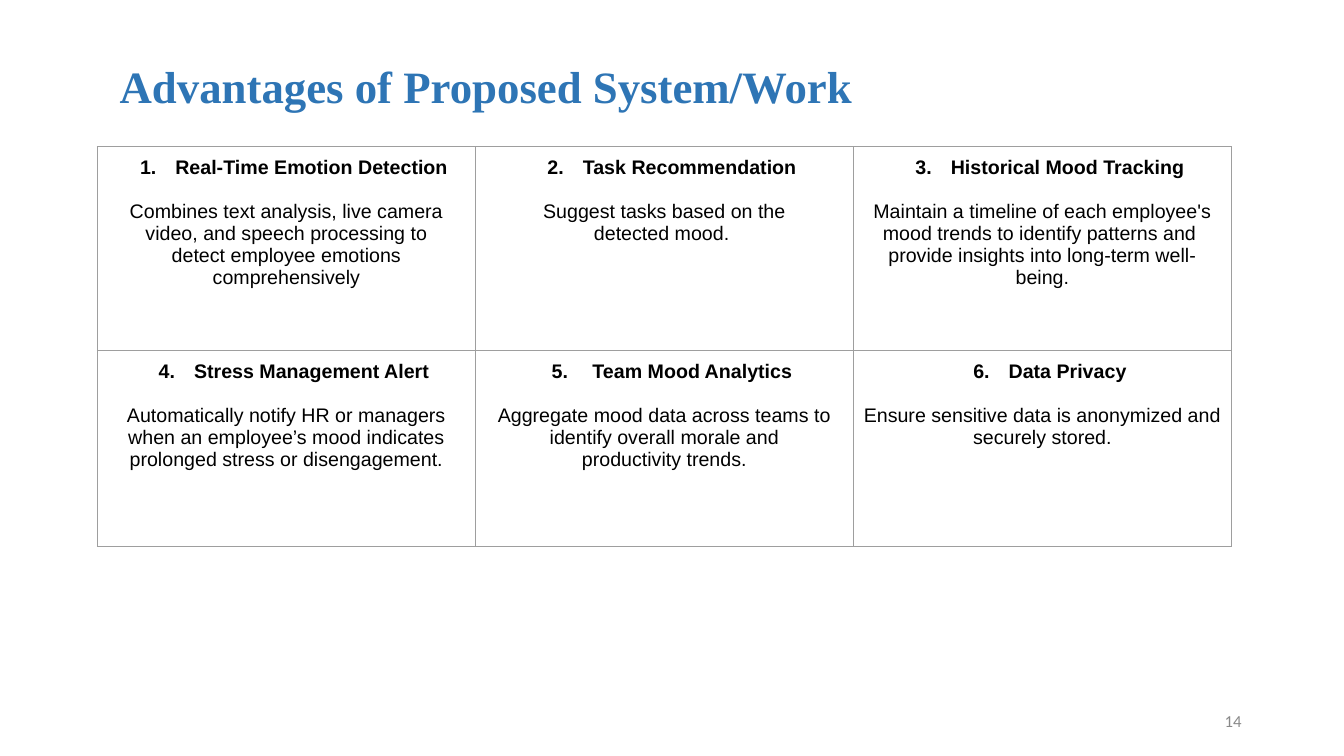
from dataclasses import dataclass

from lxml import etree
from pptx import Presentation
from pptx import util as u
from pptx.dml.color import RGBColor
from pptx.enum import text
from pptx.oxml import ns


@dataclass(frozen=True)
class Theme:
    title_color: str = "2E75B5"
    text_color: str = "000000"
    number_color: str = "898989"
    border_color: str = "9E9E9E"
    title_font: str = "Times New Roman"
    table_font: str = "Arial"
    number_font: str = "Calibri"
    title_size: float = 32
    table_size: float = 14
    number_size: float = 12
    border_width: float = 0.75
    inset: float = 7.2


ADVANTAGES = [
    ("Real-Time Emotion Detection",
     ["Combines text analysis, live camera video, and speech processing to",
      "detect employee emotions", "comprehensively"]),
    ("Task Recommendation",
     ["Suggest tasks based on the", "detected mood. "]),
    ("Historical Mood Tracking",
     ["Maintain a timeline of each employee's mood trends to identify patterns and ",
      "provide insights into long-term well-being."]),
    ("Stress Management Alert",
     ["Automatically notify HR or managers when an employee’s mood indicates "
      "prolonged stress or disengagement."]),
    (" Team Mood Analytics",
     ["Aggregate mood data across teams to identify overall morale and",
      "productivity trends."]),
    ("Data Privacy",
     ["Ensure sensitive data is anonymized and securely stored."]),
]


def add_element(parent, tag, **attributes):
    element = etree.SubElement(parent, ns.qn(tag))
    for name, value in attributes.items():
        element.set(name, str(value))
    return element


def write(para, words, *, font, size, color, bold=False,
          align=text.PP_ALIGN.CENTER, before=0, left=0, hanging=0):
    para.alignment = align
    para.space_before = u.Pt(before)
    properties = para._p.get_or_add_pPr()
    properties.set("marL", str(u.Pt(left)))
    properties.set("indent", str(u.Pt(-hanging)))
    span = para.add_run()
    span.text = words
    span.font.name = font
    span.font.size = u.Pt(size)
    span.font.bold = bold
    span.font.color.rgb = RGBColor.from_string(color)


def number(para, start, color):
    properties = para._p.get_or_add_pPr()
    add_element(add_element(properties, "a:buClr"), "a:srgbClr", val=color)
    add_element(properties, "a:buAutoNum", type="arabicPeriod", startAt=start)


class SlideBuilder:
    def __init__(self, page, theme):
        self.page = page
        self.theme = theme

    def frame(self, box):
        frame = box.text_frame
        frame.word_wrap = True
        frame.auto_size = text.MSO_AUTO_SIZE.NONE
        frame.vertical_anchor = text.MSO_ANCHOR.MIDDLE
        frame.margin_left = frame.margin_right = u.Pt(self.theme.inset)
        frame.margin_top = frame.margin_bottom = u.Pt(self.theme.inset / 2)
        return frame

    def title(self, words, left, top, width, height):
        box = self.page.shapes.title
        box.left, box.top = u.Pt(left), u.Pt(top)
        box.width, box.height = u.Pt(width), u.Pt(height)
        write(self.frame(box).paragraphs[0], words, font=self.theme.title_font,
              size=self.theme.title_size, color=self.theme.title_color,
              bold=True, align=text.PP_ALIGN.JUSTIFY, left=12.24)

    def page_number(self, words, left, top, width, height):
        box = self.page.shapes.add_textbox(
            u.Pt(left), u.Pt(top), u.Pt(width), u.Pt(height))
        write(self.frame(box).paragraphs[0], words, font=self.theme.number_font,
              size=self.theme.number_size, color=self.theme.number_color,
              align=text.PP_ALIGN.RIGHT)

    def table(self, entries, left, top, column_width, row_heights, columns=3):
        table = self.page.shapes.add_table(
            len(row_heights), columns, u.Pt(left), u.Pt(top),
            u.Pt(column_width * columns), u.Pt(sum(row_heights))).table
        table.first_row = table.horz_banding = False
        for column in table.columns:
            column.width = u.Pt(column_width)
        for row, height in zip(table.rows, row_heights):
            row.height = u.Pt(height)
        for index, (heading, lines) in enumerate(entries):
            cell = table.cell(*divmod(index, columns))
            self.fill_cell(cell, index + 1, heading, lines)

    def fill_cell(self, cell, position, heading, lines):
        theme = self.theme
        style = dict(font=theme.table_font, size=theme.table_size,
                     color=theme.text_color)
        cell.margin_left = cell.margin_right = u.Pt(theme.inset)
        cell.margin_top = cell.margin_bottom = u.Pt(theme.inset)
        cell.vertical_anchor = text.MSO_ANCHOR.TOP
        self.border(cell)
        cell.fill.background()
        para = cell.text_frame.paragraphs[0]
        write(para, heading, bold=True, left=36, hanging=25.2, **style)
        number(para, position, theme.text_color)
        for index, line in enumerate(lines):
            write(cell.text_frame.add_paragraph(), line,
                  before=0 if index else 16, **style)

    def border(self, cell):
        properties = cell._tc.get_or_add_tcPr()
        for side in ("L", "R", "T", "B"):
            line = add_element(properties, f"a:ln{side}",
                               w=u.Pt(self.theme.border_width))
            fill = add_element(line, "a:solidFill")
            add_element(fill, "a:srgbClr", val=self.theme.border_color)


def main():
    deck = Presentation()
    deck.slide_width, deck.slide_height = u.Pt(960), u.Pt(540)
    page = deck.slides.add_slide(deck.slide_layouts[5])
    builder = SlideBuilder(page, Theme())
    builder.title("Advantages of Proposed System/Work", 66, 28.8, 828, 64.8)
    builder.table(ADVANTAGES, 69.6, 104.6, 270, [145.6, 140.2])
    builder.page_number("14", 678, 500.5, 216, 28.8)
    deck.save("out.pptx")


if __name__ == "__main__":
    main()
